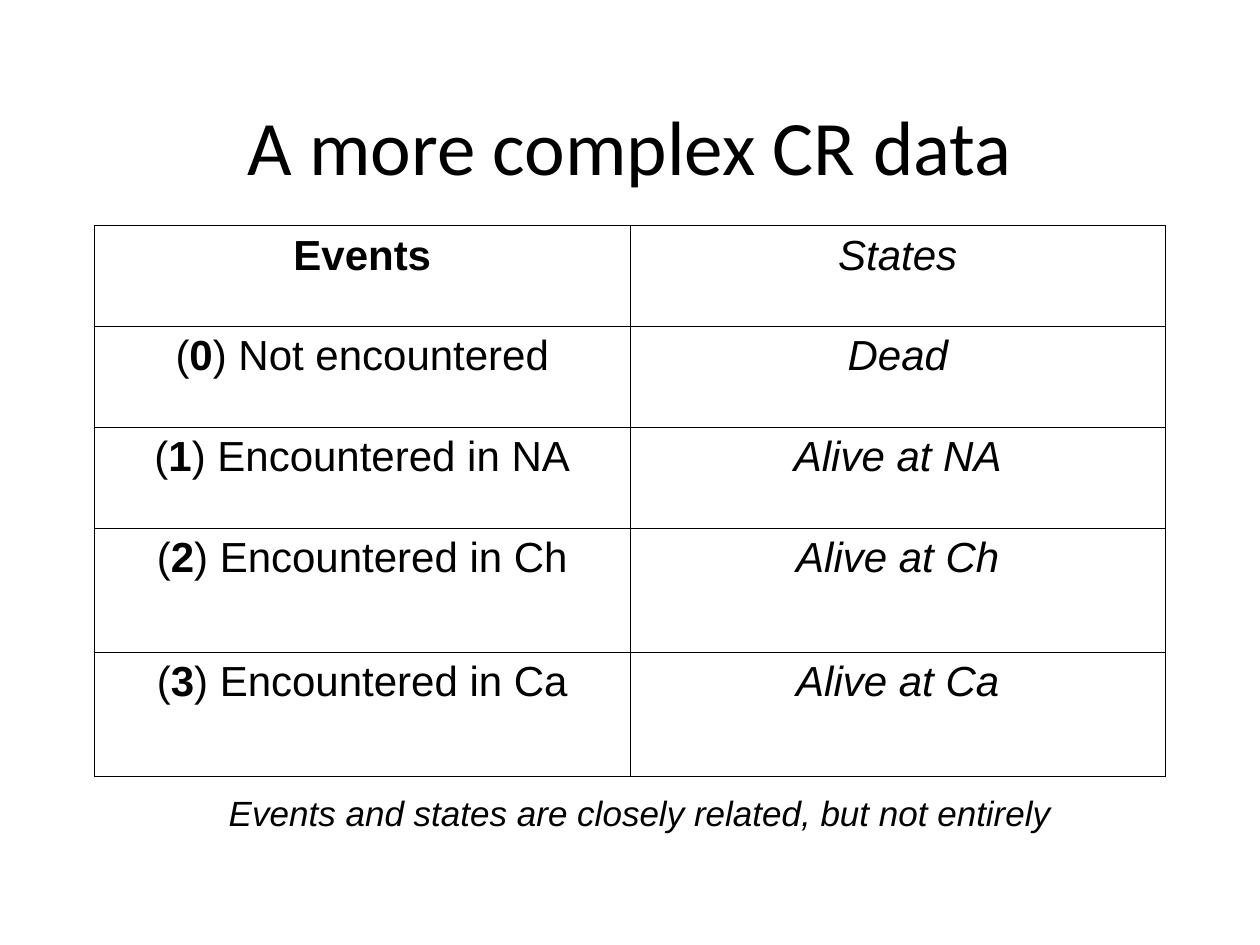
from dataclasses import dataclass

from lxml.etree import SubElement
from pptx import Presentation
from pptx.dml.color import RGBColor
from pptx.enum.text import MSO_ANCHOR as Anchor, PP_ALIGN as Align
from pptx.oxml.ns import qn
from pptx.util import Pt


@dataclass(frozen=True)
class Theme:
    ink: RGBColor = RGBColor(0, 0, 0)
    heading_font: str = "Calibri"
    body_font: str = "Arial"
    title_size: float = 44
    table_size: float = 24
    note_size: float = 20
    border: float = 0.45


theme = Theme()


def write(frame, spans, font, size, space_before=0):
    frame.word_wrap = True
    para = frame.paragraphs[0]
    para.alignment = Align.CENTER
    para.space_before = Pt(space_before)
    for text, style in spans:
        span = para.add_run()
        span.text = text
        span.font.color.rgb = theme.ink
        values = {"name": font, "size": Pt(size), "bold": style == "bold", "italic": style == "italic"}
        for name, value in values.items():
            setattr(span.font, name, value)


def draw_borders(cell):
    properties = cell._tc.get_or_add_tcPr()
    for position, side in enumerate(("a:lnL", "a:lnR", "a:lnT", "a:lnB")):
        line = properties.makeelement(qn(side), {"w": str(Pt(theme.border))})
        properties.insert(position, line)
        fill = SubElement(line, qn("a:solidFill"))
        SubElement(fill, qn("a:srgbClr"), val=str(theme.ink))


deck = Presentation()
deck.slide_width, deck.slide_height = Pt(720), Pt(540)
page = deck.slides.add_slide(deck.slide_layouts[6])

title = page.shapes.add_textbox(Pt(54), Pt(37.5), Pt(612), Pt(90)).text_frame
title.vertical_anchor = Anchor.MIDDLE
write(title, [("A more complex CR data", "plain")], theme.heading_font, theme.title_size)

events = ["Not encountered", "Encountered in NA", "Encountered in Ch", "Encountered in Ca"]
states = ["Dead", "Alive at NA", "Alive at Ch", "Alive at Ca"]
rows = [([("Events", "bold")], [("States", "italic")])]
for code, (event, state) in enumerate(zip(events, states)):
    rows.append(([("(", "plain"), (str(code), "bold"), (f") {event}", "plain")], [(state, "italic")]))

heights = [57.6, 57.6, 57.6, 70.8, 70.8]
table = page.shapes.add_table(len(rows), 2, Pt(54), Pt(129), Pt(612), Pt(sum(heights))).table
table.first_row = table.horz_banding = False
for row, height, contents in zip(table.rows, heights, rows):
    row.height = Pt(height)
    for cell, spans in zip(row.cells, contents):
        cell.fill.background()
        draw_borders(cell)
        write(cell.text_frame, spans, theme.body_font, theme.table_size, 6)

note = page.shapes.add_textbox(Pt(42.5), Pt(448.5), Pt(646.5), Pt(31.5)).text_frame
write(note, [("Events and states are closely related, but not entirely", "italic")],
      theme.body_font, theme.note_size, 12.5)

deck.save("out.pptx")
